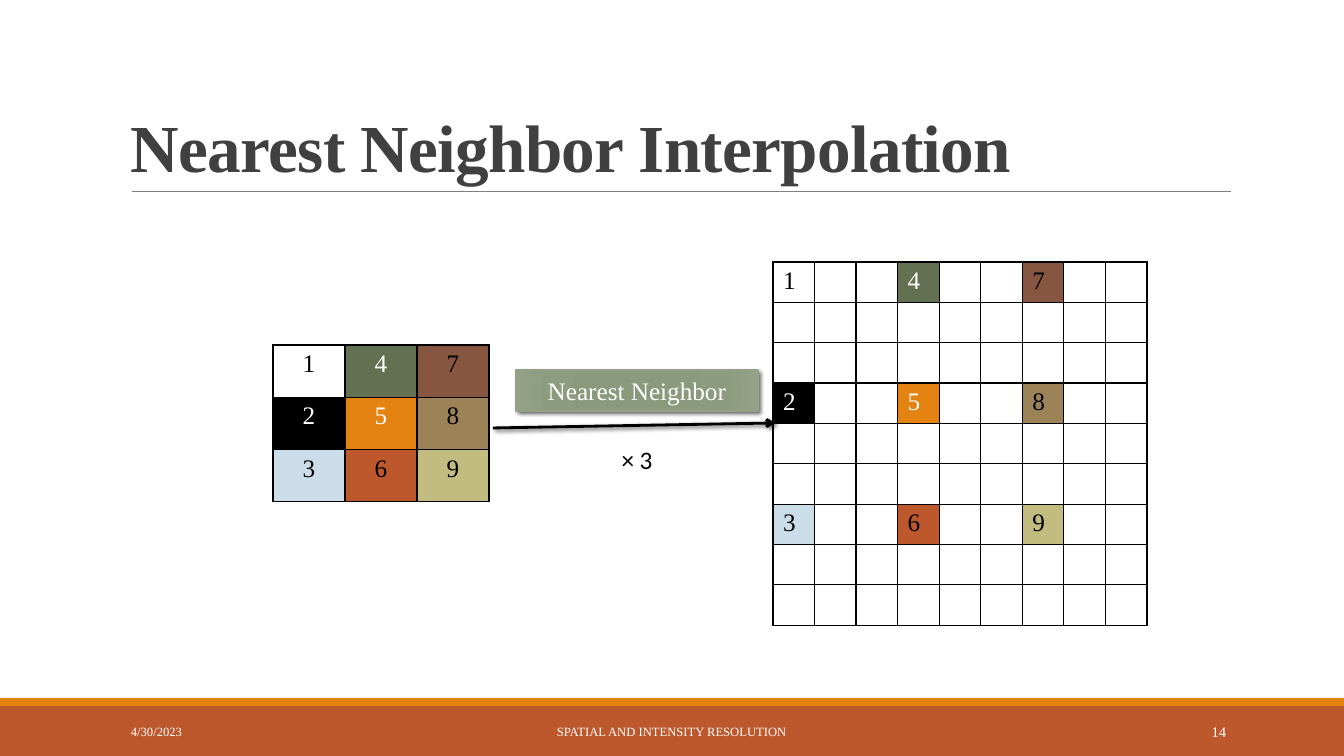
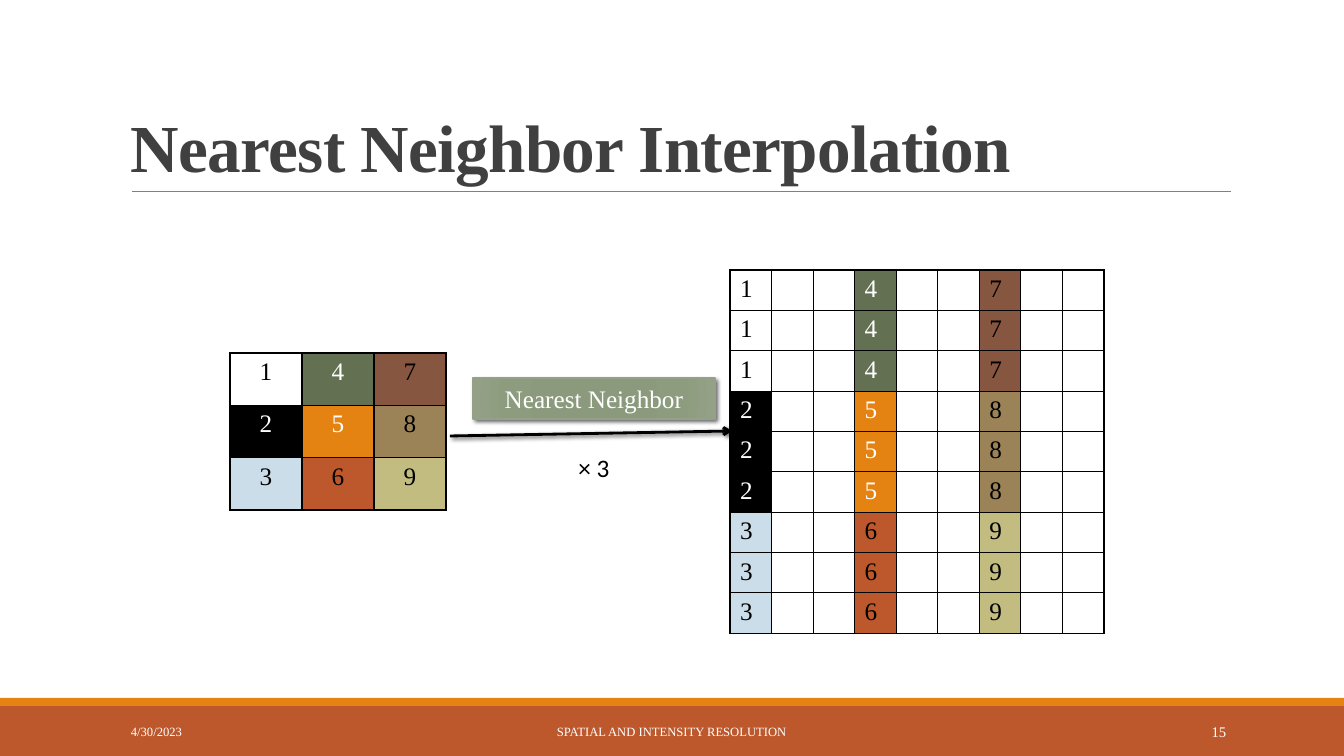
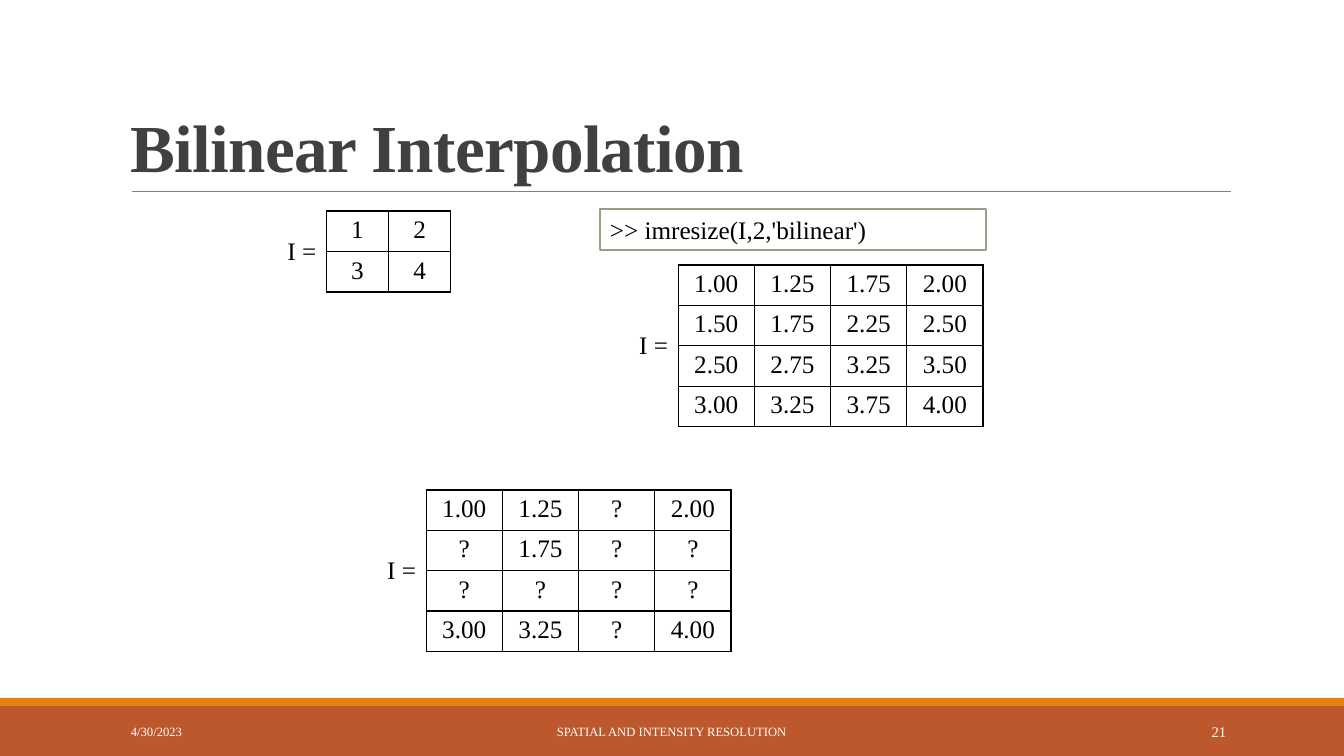
"""Build three slides on nearest neighbor and bilinear interpolation."""
import pptx
import pptx.dml.color
import pptx.enum.shapes
import pptx.enum.text
import pptx.oxml
import pptx.oxml.ns
import pptx.util
from lxml import etree

RGB = pptx.dml.color.RGBColor
ALIGN = pptx.enum.text.PP_ALIGN
ANCHOR = pptx.enum.text.MSO_ANCHOR
RECT = pptx.enum.shapes.MSO_SHAPE.RECTANGLE
STRAIGHT = pptx.enum.shapes.MSO_CONNECTOR.STRAIGHT
Pt = pptx.util.Pt
qn = pptx.oxml.ns.qn

WIDTH, HEIGHT = 1344, 756
SCALE = 12192000 / WIDTH
SERIF, SANS = "Times New Roman", "Calibri"
NO_STYLE = "{2D5ABB26-0587-4C30-8999-92F81FD0307C}"

BLACK = RGB(0x00, 0x00, 0x00)
WHITE = RGB(0xFF, 0xFF, 0xFF)
TITLE_GREY = RGB(0x40, 0x40, 0x40)
RULE_GREY = RGB(0x80, 0x80, 0x80)
RUST = RGB(0xBD, 0x58, 0x2C)
ORANGE = RGB(0xE4, 0x83, 0x12)
SAGE = RGB(0x94, 0xA0, 0x88)
OLIVE = RGB(0x63, 0x70, 0x52)
BROWN = RGB(0x86, 0x56, 0x40)
TAN = RGB(0x9B, 0x83, 0x57)
ICE = RGB(0xCC, 0xDD, 0xEA)
KHAKI = RGB(0xC2, 0xBC, 0x80)
SAGE_STOPS = [(0, "8A987B"), (34, "8B997D"), (70, "8D9C7E"), (100, "94A187")]

DATE = "4/30/2023"
FOOTER = "SPATIAL AND INTENSITY RESOLUTION"
PIXELS = [["1", "4", "7"], ["2", "5", "8"], ["3", "6", "9"]]
PIXEL_STYLE = {
    "1": (WHITE, BLACK), "4": (OLIVE, WHITE), "7": (BROWN, BLACK),
    "2": (BLACK, WHITE), "5": (ORANGE, WHITE), "8": (TAN, BLACK),
    "3": (ICE, BLACK), "6": (RUST, BLACK), "9": (KHAKI, BLACK),
}
ZOOM = 3
NEAREST_SLIDES = [
    {"number": "14", "left": 273, "top": 345, "fill_rows": False},
    {"number": "15", "left": 230, "top": 353, "fill_rows": True},
]
COMMAND = ">> imresize(I,2,'bilinear')"
MATRICES = [
    ((264, 211, 187, 81), [["1", "2"], ["3", "4"]]),
    ((602, 265, 381, 161), [
        ["1.00", "1.25", "1.75", "2.00"],
        ["1.50", "1.75", "2.25", "2.50"],
        ["2.50", "2.75", "3.25", "3.50"],
        ["3.00", "3.25", "3.75", "4.00"],
    ]),
    ((350, 490, 381, 161), [
        ["1.00", "1.25", "?", "2.00"],
        ["?", "1.75", "?", "?"],
        ["?", "?", "?", "?"],
        ["3.00", "3.25", "?", "4.00"],
    ]),
]


def px(*values):
    return [round(v * SCALE) for v in values]


def xml(text):
    return pptx.oxml.parse_xml(text.replace(" ", f' {pptx.oxml.ns.nsdecls("a")} ', 1))


def write(tf, text, size=18, color=BLACK, align=ALIGN.LEFT, font=SERIF, bold=False):
    p = tf.paragraphs[0]
    p.text = text
    p.alignment = align
    for r in p.runs:
        r.font.size, r.font.name, r.font.bold = Pt(size), font, bold
        r.font.color.rgb = color
    if not text:
        p._p.append(xml(f'<a:endParaRPr sz="{size * 100}"><a:latin typeface="{font}"/></a:endParaRPr>'))
    return p


def add_text(slide, box, text, anchor=ANCHOR.TOP, **style):
    tf = slide.shapes.add_textbox(*px(*box)).text_frame
    tf.word_wrap = True
    tf.vertical_anchor = anchor
    return write(tf, text, **style)


def set_effect(shape, shadow):
    effects = etree.SubElement(shape._element.spPr, qn("a:effectLst"))
    if shadow:
        effects.append(xml(
            '<a:outerShdw blurRad="38100" dist="25400" dir="2700000" rotWithShape="0">'
            '<a:srgbClr val="000000"><a:alpha val="60000"/></a:srgbClr></a:outerShdw>'))


def add_rect(slide, box, fill, line=None, line_width=1, shadow=False):
    sp = slide.shapes.add_shape(RECT, *px(*box))
    sp.fill.solid()
    sp.fill.fore_color.rgb = fill
    if line is None:
        sp.line.fill.background()
    else:
        sp.line.color.rgb = line
        sp.line.width = Pt(line_width)
    set_effect(sp, shadow)
    sp.text_frame.vertical_anchor = ANCHOR.TOP
    return sp


def add_line(slide, ends, color, width, arrow=False):
    line = slide.shapes.add_connector(STRAIGHT, *px(*ends))
    line.line.color.rgb = color
    line.line.width = Pt(width)
    if arrow:
        line.line._get_or_add_ln().append(xml('<a:tailEnd type="arrow"/>'))
    set_effect(line, arrow)


def set_borders(cell, sides):
    tcPr = cell._tc.get_or_add_tcPr()
    for side in "LRTB":
        paint = '<a:solidFill><a:srgbClr val="000000"/></a:solidFill>' if side in sides else "<a:noFill/>"
        tcPr.append(xml(f'<a:ln{side} w="12700">{paint}</a:ln{side}>'))


def add_grid(slide, box, rows, align=ALIGN.CENTER, label=None):
    if label:
        rows = [[label if i == 0 else ""] + row for i, row in enumerate(rows)]
    left, top, width, height = px(*box)
    n_rows, n_cols = len(rows), len(rows[0])
    table = slide.shapes.add_table(n_rows, n_cols, left, top, width, height).table
    table.first_row = table.horz_banding = False
    table._tbl.tblPr.find(qn("a:tableStyleId")).text = NO_STYLE
    for col in table.columns:
        col.width = width // n_cols
    for i, row in enumerate(rows):
        table.rows[i].height = height // n_rows
        for j, text in enumerate(row):
            cell = table.cell(i, j)
            is_label = bool(label) and j == 0
            set_borders(cell, "R" if is_label else "LRTB")
            fill, color = (None, BLACK) if label else PIXEL_STYLE.get(text, (None, BLACK))
            if fill is None:
                cell.fill.background()
            else:
                cell.fill.solid()
                cell.fill.fore_color.rgb = fill
            write(cell.text_frame, text, color=color, align=ALIGN.RIGHT if is_label else align)
    if label:
        table.cell(0, 0).merge(table.cell(n_rows - 1, 0))
        table.cell(0, 0).vertical_anchor = ANCHOR.MIDDLE


def add_slide(prs, title, number):
    slide = prs.slides.add_slide(prs.slide_layouts[6])
    add_rect(slide, (0, 706, WIDTH, 50), RUST)
    add_rect(slide, (0, 698, WIDTH, 8), ORANGE)
    add_line(slide, (132, 191, 1231, 191), RULE_GREY, 0.5)
    p = add_text(slide, (121, 31, 1109, 160), title, ANCHOR.BOTTOM,
                 size=48, color=TITLE_GREY, bold=True)
    p.line_spacing = 0.85
    p.runs[0].font._element.set("spc", "-50")
    for left, width, text, size, align in [
        (121, 272, DATE, 9, ALIGN.LEFT),
        (406, 531, FOOTER, 9, ALIGN.CENTER),
        (1092, 144, number, 10.5, ALIGN.RIGHT),
    ]:
        add_text(slide, (left, 712, width, 40), text, ANCHOR.MIDDLE,
                 size=size, color=WHITE, align=align)
    return slide


def enlarge(rows, fill_rows):
    n = len(rows) * ZOOM
    return [[rows[i // ZOOM][j // ZOOM] if j % ZOOM == 0 and (fill_rows or i % ZOOM == 0) else ""
             for j in range(n)] for i in range(n)]


def add_nearest_slide(prs, number, left, top, fill_rows):
    slide = add_slide(prs, "Nearest Neighbor Interpolation", number)
    add_grid(slide, (left, top, 216, 157), PIXELS)
    method = add_rect(slide, (left + 243, top + 25, 242, 41), SAGE, SAGE, shadow=True)
    stops = "".join(f'<a:gs pos="{pos * 1000}"><a:srgbClr val="{color}"/></a:gs>'
                    for pos, color in SAGE_STOPS)
    gradient = xml(f'<a:gradFill rotWithShape="1"><a:gsLst>{stops}</a:gsLst><a:path path="circle">'
                   '<a:fillToRect l="100000" t="100000" r="100000" b="100000"/></a:path></a:gradFill>')
    spPr = method._element.spPr
    spPr.replace(spPr.find(qn("a:solidFill")), gradient)
    write(method.text_frame, "Nearest Neighbor", color=WHITE, align=ALIGN.CENTER)
    add_line(slide, (left + 220, top + 83, left + 502, top + 78), BLACK, 2, arrow=True)
    add_text(slide, (left + 265, top + 94, 198, 40), f"× {ZOOM}", align=ALIGN.CENTER, font=SANS)
    add_grid(slide, (left + 500, top - 83, 374, 363), enlarge(PIXELS, fill_rows), ALIGN.LEFT)


def add_bilinear_slide(prs):
    slide = add_slide(prs, "Bilinear Interpolation", "21")
    command = add_rect(slide, (600, 209, 386, 41), WHITE, SAGE, 1.25)
    write(command.text_frame, COMMAND)
    for box, rows in MATRICES:
        add_grid(slide, box, rows, label="I =")


def main():
    prs = pptx.Presentation()
    prs.slide_width, prs.slide_height = px(WIDTH, HEIGHT)
    for content in NEAREST_SLIDES:
        add_nearest_slide(prs, **content)
    add_bilinear_slide(prs)
    prs.save("out.pptx")


if __name__ == "__main__":
    main()
